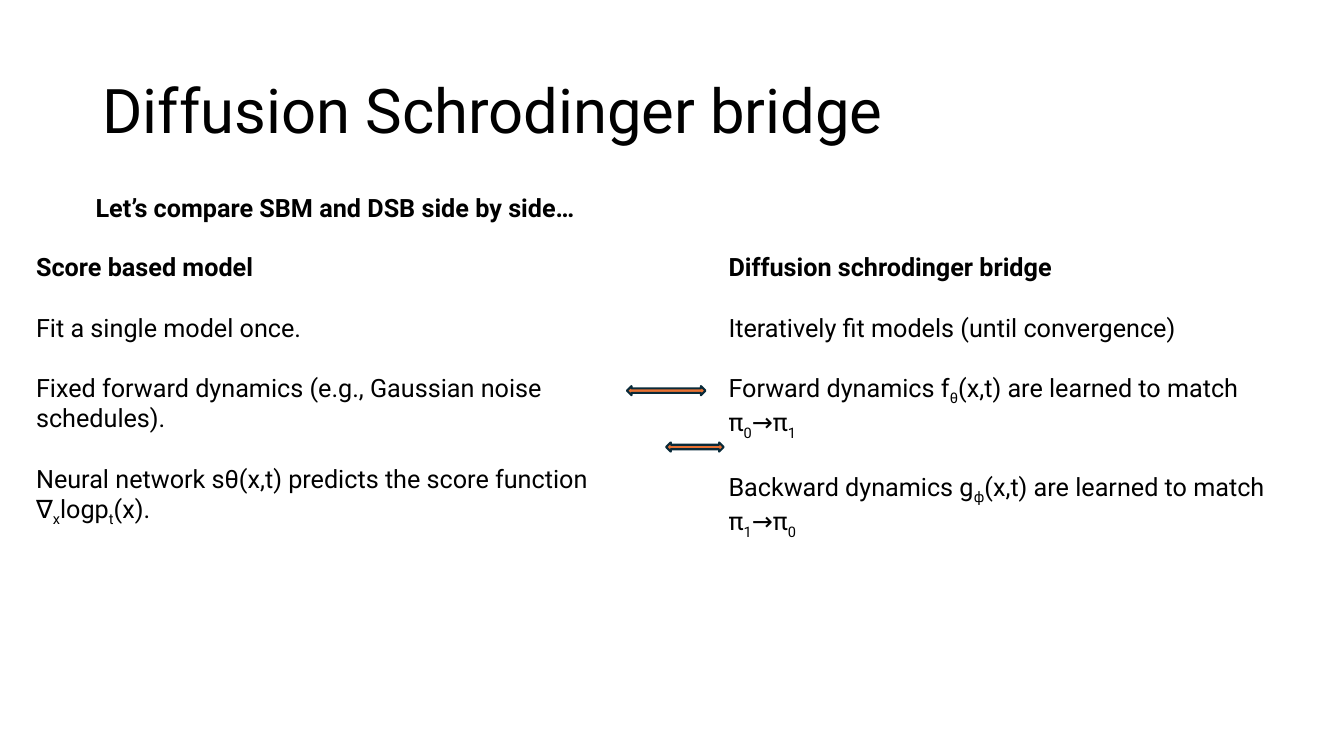
from pptx import Presentation
from pptx.dml.color import RGBColor
from pptx.enum.shapes import MSO_SHAPE
from pptx.enum.text import MSO_ANCHOR
from pptx.util import Cm, Pt

ARROW = MSO_SHAPE.LEFT_RIGHT_ARROW
TOP, MIDDLE = MSO_ANCHOR.TOP, MSO_ANCHOR.MIDDLE
FONT = "Roboto"
BLACK, ORANGE, NAVY = "000000", "E97132", "092A39"
GAP = 21.5

LEFT = [
    ["Score based model"],
    ["Fit a single model once."],
    ["Fixed forward dynamics (e.g., Gaussian noise schedules)."],
    ["Neural network sθ(x,t) predicts the score function ∇", "x", "logp", "t", "(x)."],
]
RIGHT = [
    ["Diffusion schrodinger bridge"],
    ["Iteratively fit models (until convergence)"],
    ["Forward dynamics f", "θ", "(x,t) are learned to match π", "0", "→π", "1"],
    ["Backward dynamics g", "ϕ", "(x,t) are learned to match π", "1", "→π", "0"],
]


def color(code):
    """Turn a hex string into a colour."""
    return RGBColor.from_string(code)


def add_run(para, text, size, bold=False, sub=False):
    """Add one styled run, lowered if it is a subscript."""
    run = para.add_run()
    run.text = text
    run.font.name = FONT
    run.font.size = Pt(size)
    run.font.bold = bold
    run.font.color.rgb = color(BLACK)
    if sub:
        run.font._element.set("baseline", "-25000")


def add_frame(slide, box, anchor=TOP):
    """Add a wrapping text box and return its text frame."""
    frame = slide.shapes.add_textbox(*map(Cm, box)).text_frame
    frame.word_wrap = True
    frame.vertical_anchor = anchor
    return frame


def add_title(slide, box):
    """Place the slide title in the middle of its box."""
    para = add_frame(slide, box, MIDDLE).paragraphs[0]
    para.line_spacing = 0.9
    add_run(para, "Diffusion Schrodinger bridge", 44)


def add_lead(slide, box):
    """Place the bold line that opens the comparison."""
    para = add_frame(slide, box).paragraphs[0]
    add_run(para, "Let’s compare SBM and DSB side by side…", 18, bold=True)


def add_column(slide, box, items):
    """Place a bold heading and its points; odd parts are subscripts."""
    frame = add_frame(slide, box)
    for row, parts in enumerate(items):
        para = frame.add_paragraph() if row else frame.paragraphs[0]
        para.space_after = Pt(GAP)
        for i, text in enumerate(parts):
            add_run(para, text, 18, bold=row == 0, sub=i % 2 == 1)


def add_arrow(slide, box):
    """Place a double arrow that links the two columns."""
    arrow = slide.shapes.add_shape(ARROW, *map(Cm, box))
    arrow.shadow.inherit = False
    arrow.fill.solid()
    arrow.fill.fore_color.rgb = color(ORANGE)
    arrow.line.color.rgb = color(NAVY)
    arrow.line.width = Pt(1.5)


def main():
    """Build the slide and save it."""
    deck = Presentation()
    deck.slide_width, deck.slide_height = Cm(33.87), Cm(19.05)
    slide = deck.slides.add_slide(deck.slide_layouts[6])
    add_title(slide, (2.33, 1.01, 29.21, 3.68))
    add_column(slide, (0.66, 6.22, 16.46, 9.5), LEFT)
    add_lead(slide, (2.16, 4.72, 16.94, 1.03))
    add_column(slide, (18.11, 6.22, 15.11, 10.52), RIGHT)
    add_arrow(slide, (15.8, 9.73, 1.98, 0.23))
    add_arrow(slide, (16.79, 11.15, 1.45, 0.23))
    deck.save("out.pptx")


if __name__ == "__main__":
    main()
